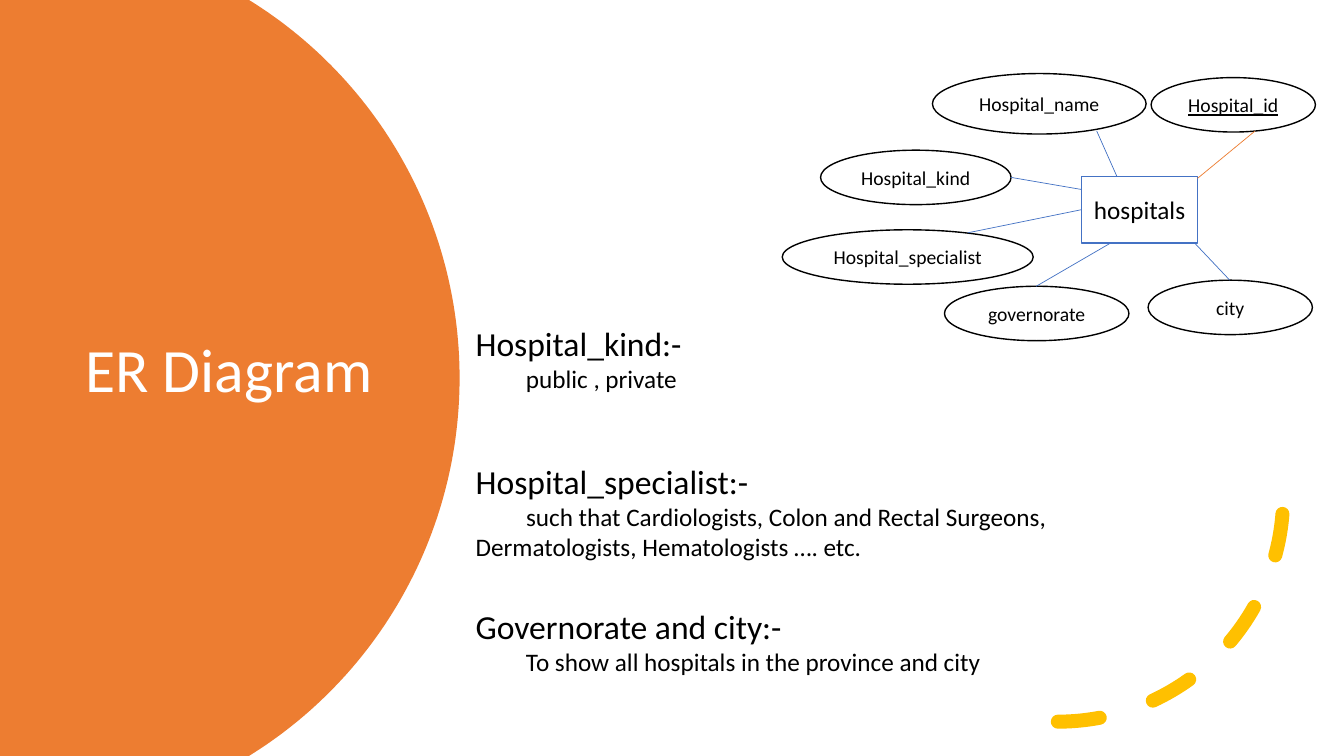
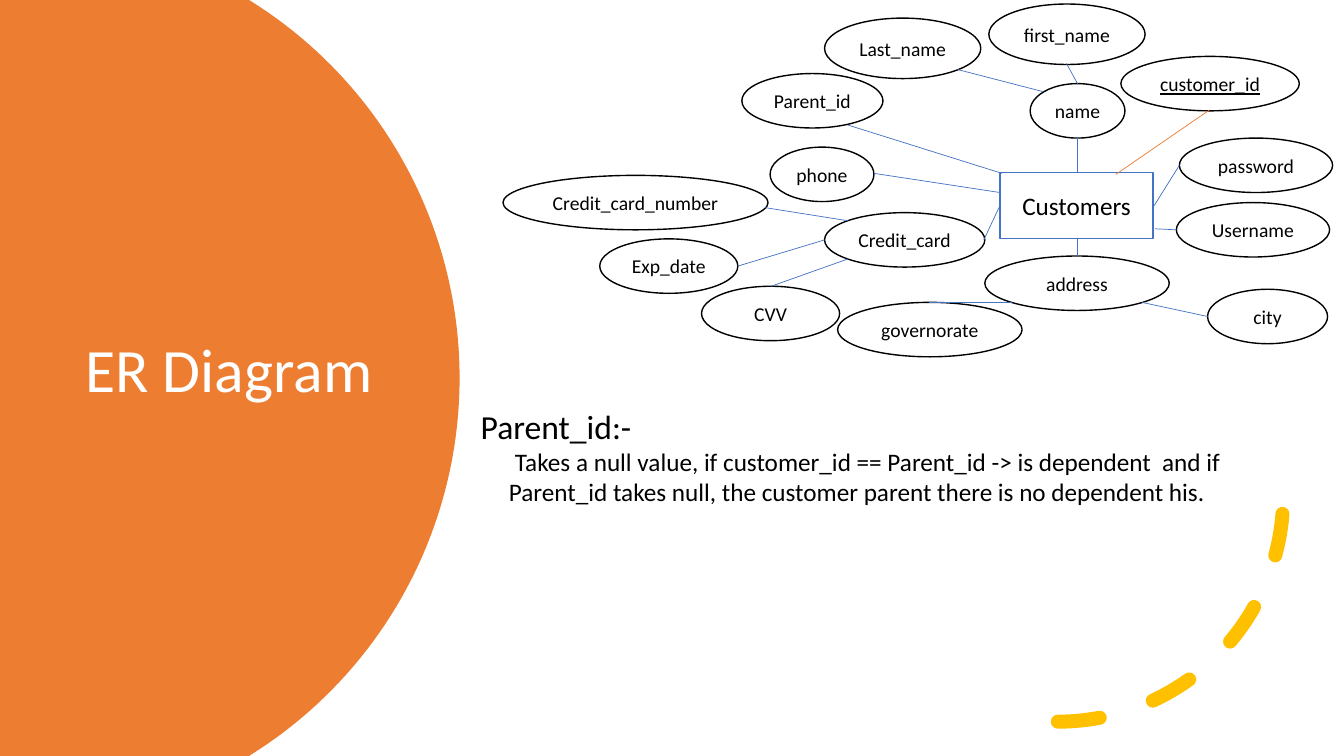
import math

import pptx
import pptx.dml.color
import pptx.enum.dml
import pptx.enum.shapes
import pptx.enum.text
import pptx.oxml
import pptx.oxml.ns
import pptx.util

Inches, Pt = pptx.util.Inches, pptx.util.Pt
RGBColor = pptx.dml.color.RGBColor
Shape = pptx.enum.shapes.MSO_SHAPE
Align, Anchor = pptx.enum.text.PP_ALIGN, pptx.enum.text.MSO_ANCHOR

ORANGE = RGBColor(0xED, 0x7D, 0x31)
BLUE = RGBColor(0x44, 0x72, 0xC4)
GOLD = RGBColor(0xFF, 0xC0, 0x00)
BLACK = RGBColor(0, 0, 0)
WHITE = RGBColor(0xFF, 0xFF, 0xFF)
FONT = "Calibri"


class Deck:
    def __init__(self):
        self.prs = pptx.Presentation()
        self.prs.slide_width = Inches(13.333)
        self.prs.slide_height = Inches(7.5)
        self.slide = None

    def start(self, title):
        """Add a slide with the round band, the title and the dashed arc."""
        self.slide = self.prs.slides.add_slide(self.prs.slide_layouts[6])
        self.band()
        para = self.box(0.75, 1.26, 3.5, 4.88, Anchor.MIDDLE).paragraphs[0]
        para.line_spacing = 0.9
        self.style(para, title, 44, WHITE)
        self.arc()

    def band(self):
        """Draw a circle cut off by the left, top and bottom slide edges."""
        mid, rad, right = 3.75, 4.41, 4.56
        edge = math.asin(mid / rad)
        steps = 120
        turns = [edge * (2 * i / steps - 1) for i in range(steps + 1)]
        rim = [(Inches(right - rad + rad * math.cos(t)),
                Inches(mid + rad * math.sin(t))) for t in turns]
        form = self.slide.shapes.build_freeform(0, 0)
        form.add_line_segments(rim + [(0, Inches(2 * mid))])
        shape = form.convert_to_shape()
        shape.shadow.inherit = False
        shape.fill.solid()
        shape.fill.fore_color.rgb = ORANGE
        shape.line.fill.background()

    def arc(self):
        shape = self.shape(Shape.ARC, 8.26, 2.69, 4.47, 4.47, GOLD, 10)
        shape.fill.background()
        shape.line.dash_style = pptx.enum.dml.MSO_LINE.DASH
        props = shape.element.spPr
        props.find(pptx.oxml.ns.qn("a:xfrm")).set("flipV", "1")
        props.find(pptx.oxml.ns.qn("a:ln")).set("cap", "rnd")

    def shape(self, kind, x, y, w, h, color, width):
        shape = self.slide.shapes.add_shape(
            kind, Inches(x), Inches(y), Inches(w), Inches(h))
        shape.shadow.inherit = False
        shape.fill.solid()
        shape.fill.fore_color.rgb = WHITE
        shape.line.color.rgb = color
        shape.line.width = Pt(width)
        return shape

    def box(self, x, y, w, h, anchor=Anchor.TOP):
        frame = self.slide.shapes.add_textbox(
            Inches(x), Inches(y), Inches(w), Inches(h)).text_frame
        frame.word_wrap = True
        frame.vertical_anchor = anchor
        return frame

    def style(self, para, text, size, color=BLACK):
        para.text = text
        para.font.name = FONT
        para.font.size = Pt(size)
        para.font.color.rgb = color

    def label(self, shape, text, size):
        frame = shape.text_frame
        frame.word_wrap = False
        frame.vertical_anchor = Anchor.MIDDLE
        para = frame.paragraphs[0]
        para.alignment = Align.CENTER
        self.style(para, text, size)
        return para

    def table(self, text, x, y, w):
        """Draw an entity as a blue rectangle."""
        self.label(self.shape(Shape.RECTANGLE, x, y, w, 0.66, BLUE, 1), text, 18)

    def field(self, text, x, y, w, h=0.54, key=False):
        """Draw an attribute as an ellipse, underlined if it is the key."""
        para = self.label(self.shape(Shape.OVAL, x, y, w, h, BLACK, 1), text, 14)
        if key:
            para.font.underline = True

    def link(self, x1, y1, x2, y2, color=BLUE):
        line = self.slide.shapes.add_connector(
            pptx.enum.shapes.MSO_CONNECTOR.STRAIGHT,
            Inches(x1), Inches(y1), Inches(x2), Inches(y2))
        line.line.color.rgb = color
        line.line.width = Pt(0.5)
        line.element.spPr.append(pptx.oxml.parse_xml(
            "<a:effectLst %s/>" % pptx.oxml.ns.nsdecls("a")))

    def note(self, head, body, x, y, w, left=0, indent=0.5):
        frame = self.box(x, y, w, 1.11)
        self.style(frame.paragraphs[0], head, 24)
        para = frame.add_paragraph()
        self.style(para, body, 18)
        props = para._p.get_or_add_pPr()
        props.set("marL", str(Inches(left)))
        props.set("indent", str(Inches(indent)))


def hospitals(deck):
    deck.start("ER Diagram")

    # Entity and attributes
    deck.table("hospitals", 10.73, 1.75, 1.15)
    for item in [
        ("city", 11.39, 2.78, 1.63),
        ("governorate", 9.37, 2.84, 1.83),
        ("Hospital_specialist", 7.76, 2.28, 2.49),
        ("Hospital_kind", 8.14, 1.49, 1.89),
        ("Hospital_name", 9.25, 0.73, 2.12, 0.6),
    ]:
        deck.field(*item)
    deck.field("Hospital_id", 11.42, 0.77, 1.63, key=True)

    # Links
    for ends in [
        (11.85, 2.41, 12.2, 2.78),
        (11.02, 2.41, 10.28, 2.84),
        (10.73, 2.08, 9.6, 2.31),
        (10.73, 1.88, 10.03, 1.76),
        (10.88, 1.3, 11.08, 1.75),
    ]:
        deck.link(*ends)
    deck.link(12.45, 1.3, 11.88, 1.77, ORANGE)

    # Notes
    for head, body, y, w in [
        ("Hospital_kind:-", "public , private", 3.15, 4.63),
        ("Hospital_specialist:-",
         "such that Cardiologists, Colon and Rectal Surgeons, "
         "Dermatologists, Hematologists …. etc.", 4.52, 6.11),
        ("Governorate and city:-",
         "To show all hospitals in the province and city", 5.96, 5.66),
    ]:
        deck.note(head, body, 4.62, y, w)


def customers(deck):
    deck.start("ER Diagram")

    # Entity and attributes
    deck.table("Customers", 9.92, 1.71, 1.52)
    for item in [
        ("city", 11.98, 2.87, 1.19),
        ("governorate", 8.31, 3, 1.83),
        ("Exp_date", 5.95, 2.37, 1.37),
        ("phone", 7.64, 1.46, 1.03),
        ("Last_name", 8.18, 0.18, 1.55, 0.6),
        ("name", 10.22, 0.83, 0.94),
        ("Parent_id", 7.36, 0.73, 1.4),
        ("Credit_card_number", 4.99, 1.74, 2.63),
        ("Credit_card", 8.18, 2.11, 1.59),
        ("password", 11.7, 1.37, 1.52),
        ("first_name", 9.81, 0.04, 1.55, 0.6),
        ("CVV", 6.96, 2.84, 1.37),
        ("Username", 11.67, 2.01, 1.52),
        ("address", 9.77, 2.54, 1.83),
    ]:
        deck.field(*item)
    deck.field("customer_id", 11.12, 0.56, 1.77, key=True)

    # Links
    for ends in [
        (11.33, 3, 11.98, 3.14),
        (10.04, 3, 9.22, 3),
        (9.92, 2.04, 9.76, 2.38),
        (9.92, 1.91, 8.67, 1.72),
        (10.69, 1.36, 10.69, 1.71),
        (9.94, 1.72, 8.41, 1.24),
        (8.41, 2.19, 7.59, 2.06),
        (8.41, 2.57, 7.65, 2.84),
        (11.46, 2.27, 11.67, 2.28),
        (11.45, 2.04, 11.7, 1.64),
        (9.5, 0.69, 10.35, 0.91),
        (10.58, 0.63, 10.69, 0.83),
        (8.18, 2.38, 7.32, 2.64),
        (10.69, 2.37, 10.69, 2.54),
    ]:
        deck.link(*ends)
    deck.link(12, 1.09, 11.07, 1.73, ORANGE)

    # Note
    deck.note(
        "Parent_id:-",
        "Takes a null value, if customer_id == Parent_id -> is dependent  and if "
        "Parent_id takes null, the customer parent there is no dependent his.",
        4.67, 3.98, 7.69, left=0.28, indent=0.06)


def main():
    deck = Deck()
    hospitals(deck)
    customers(deck)
    deck.prs.save("out.pptx")


if __name__ == "__main__":
    main()
